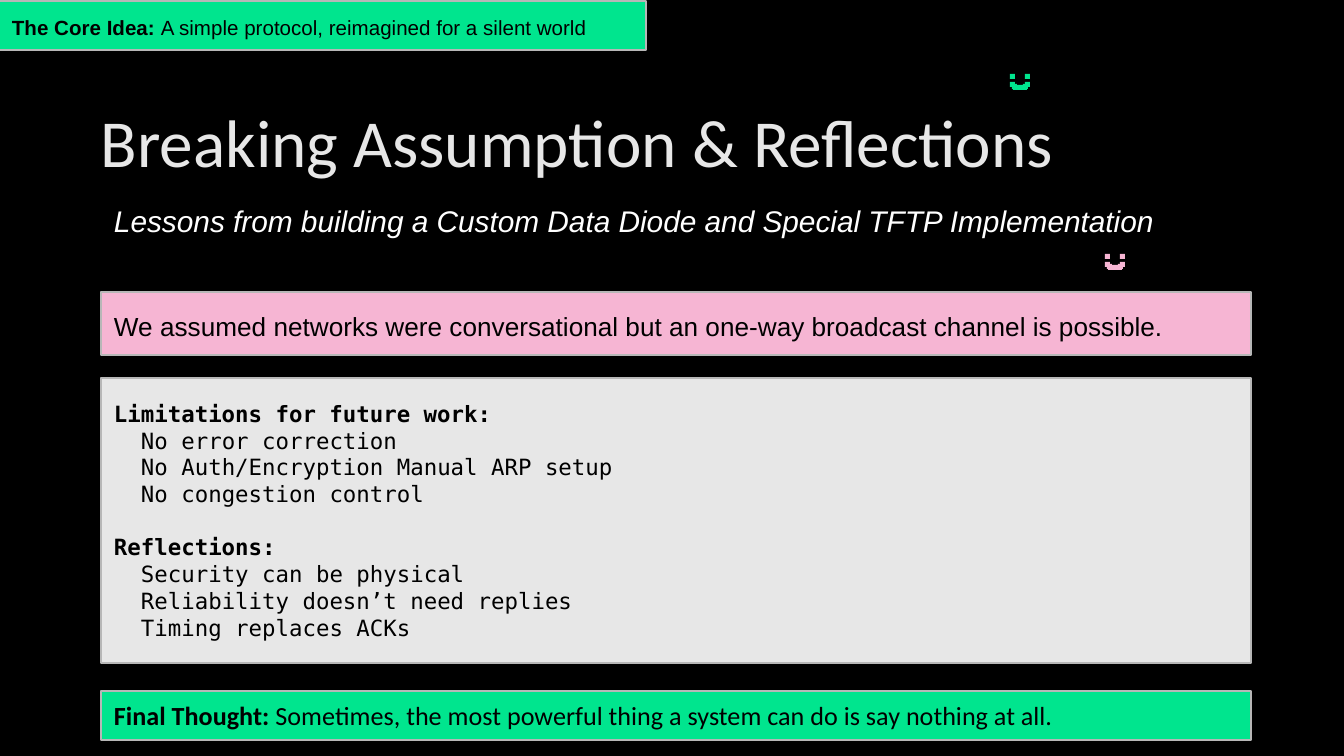
from dataclasses import dataclass, field
from typing import NamedTuple

from pptx import Presentation
from pptx.dml.color import RGBColor
from pptx.enum.shapes import MSO_SHAPE
from pptx.enum.text import MSO_ANCHOR, PP_ALIGN
from pptx.shapes.autoshape import Shape
from pptx.slide import Slide
from pptx.util import Emu, Pt

BLACK = RGBColor(0x00, 0x00, 0x00)
WHITE = RGBColor(0xFF, 0xFF, 0xFF)
GREEN = RGBColor(0x00, 0xE5, 0x8E)
PINK = RGBColor(0xF6, 0xB5, 0xD3)
PALE = RGBColor(0xE7, 0xE7, 0xE7)
GREY = RGBColor(0xB7, 0xB7, 0xB7)

SCALE = 914400 / 134.4
LEFT, WIDTH = 101, 1150
INSET = 13


class Box(NamedTuple):
    x: int
    y: int
    w: int
    h: int


@dataclass
class Line:
    text: str
    lead: str = ""
    indent: int = 0
    form: dict = field(default_factory=dict)


@dataclass
class Panel:
    box: Box
    lines: list[Line]
    font: dict
    ink: RGBColor = BLACK
    fill: RGBColor | None = None
    inset: int = INSET


def px(count: int) -> Emu:
    return Emu(round(count * SCALE))


def apply(target: object, values: dict) -> None:
    for name, value in values.items():
        setattr(target, name, value)


def add_rect(slide: Slide, box: Box, fill: RGBColor) -> Shape:
    shape = slide.shapes.add_shape(MSO_SHAPE.RECTANGLE, *map(px, box))
    shape.shadow.inherit = False
    shape.fill.solid()
    shape.fill.fore_color.rgb = fill
    shape.line.fill.background()
    return shape


def add_panel(slide: Slide, panel: Panel) -> None:
    if panel.fill is None:
        shape = slide.shapes.add_textbox(*map(px, panel.box))
        anchor = MSO_ANCHOR.TOP
    else:
        shape = add_rect(slide, panel.box, panel.fill)
        shape.line.color.rgb = GREY
        shape.line.width = Pt(0.75)
        anchor = MSO_ANCHOR.MIDDLE
    frame = shape.text_frame
    sides = ("left", "top", "right", "bottom")
    margins = {f"margin_{side}": px(panel.inset) for side in sides}
    apply(frame, {"word_wrap": True, "vertical_anchor": anchor, **margins})
    for index, line in enumerate(panel.lines):
        para = frame.add_paragraph() if index else frame.paragraphs[0]
        apply(para, {"alignment": PP_ALIGN.LEFT, **line.form})
        if line.indent:
            para._p.get_or_add_pPr().set("marL", str(px(line.indent)))
        for text, bold in ((line.lead, True), (line.text, False)):
            if text:
                run = para.add_run()
                run.text = text
                apply(run.font, {"bold": bold, **panel.font})
                run.font.color.rgb = panel.ink


def add_smile(slide: Slide, x: int, y: int, fill: RGBColor) -> None:
    for left, top, wide in SMILE:
        add_rect(slide, Box(x + left, y + top, wide, 5), fill)


SMILE = [
    (0, 0, 5), (15, 0, 5), (0, 8, 5), (15, 8, 5),
    (2, 10, 5), (13, 10, 5), (3, 11, 14),
]
LIMITS = ["No error correction", "No Auth/Encryption Manual ARP setup", "No congestion control"]
LESSONS = ["Security can be physical", "Reliability doesn’t need replies", "Timing replaces ACKs"]

PANELS = [
    Panel(
        Box(LEFT, 116, 1142, 94),
        [Line("Breaking Assumption & Reflections", form={"line_spacing": 0.8})],
        {"name": "Calibri", "size": Pt(36)}, ink=PALE, inset=0,
    ),
    Panel(
        Box(LEFT, 190, WIDTH, 50),
        [Line("Lessons from building a Custom Data Diode and Special TFTP Implementation")],
        {"name": "Arial", "size": Pt(16), "italic": True}, ink=WHITE,
    ),
    Panel(
        Box(LEFT, 378, WIDTH, 285),
        [
            Line("", "Limitations for future work:"),
            *(Line(text, indent=27) for text in LIMITS),
            Line("", "Reflections:", form={"space_before": Pt(14)}),
            *(Line(text, indent=27) for text in LESSONS),
        ],
        {"name": "DejaVu Sans Mono", "size": Pt(12)}, fill=PALE,
    ),
    Panel(
        Box(LEFT, 691, WIDTH, 49),
        [Line(
            "Sometimes, the most powerful thing a system can do is say nothing at all.",
            "Final Thought: ",
        )],
        {"name": "Calibri", "size": Pt(14)}, fill=GREEN,
    ),
    Panel(
        Box(-1, 1, 647, 49),
        [Line(
            "A simple protocol, reimagined for a silent world", "The Core Idea: ",
            form={"line_spacing": 1.15, "space_before": Pt(10), "space_after": Pt(12)},
        )],
        {"name": "Arial", "size": Pt(11)}, fill=GREEN,
    ),
    Panel(
        Box(LEFT, 292, WIDTH, 63),
        [Line(
            "We assumed networks were conversational but an one-way broadcast channel is possible.",
            form={"line_spacing": 1.15, "space_before": Pt(12), "space_after": Pt(12)},
        )],
        {"name": "Arial", "size": Pt(14)}, fill=PINK,
    ),
]


def main() -> None:
    deck = Presentation()
    apply(deck, {"slide_width": px(1344), "slide_height": px(756)})
    slide = deck.slides.add_slide(deck.slide_layouts[6])
    slide.background.fill.solid()
    slide.background.fill.fore_color.rgb = BLACK
    add_smile(slide, 1010, 74, GREEN)
    add_smile(slide, 1105, 254, PINK)
    for panel in PANELS:
        add_panel(slide, panel)
    deck.save("out.pptx")


if __name__ == "__main__":
    main()
